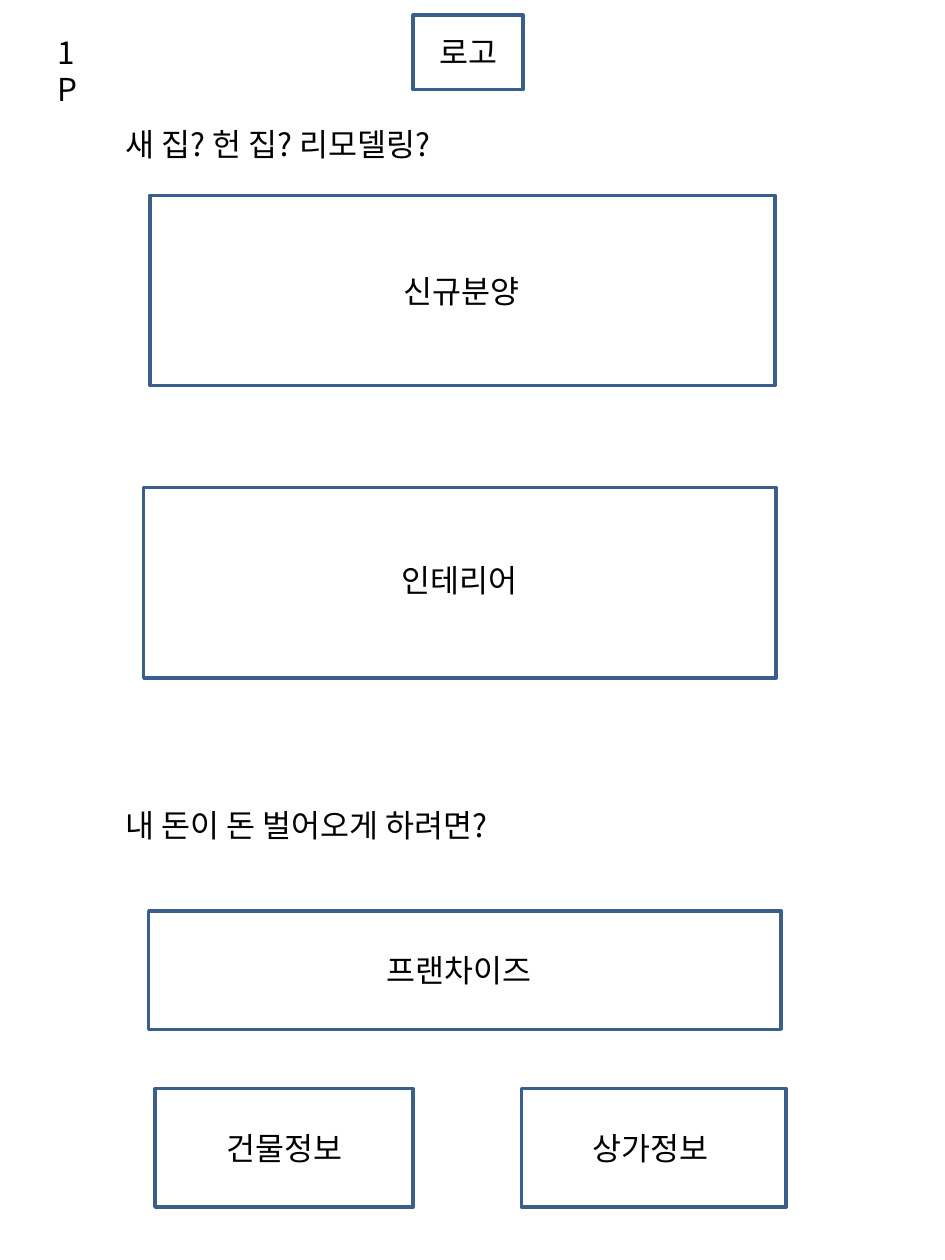
from typing import NamedTuple

from lxml import etree
from pptx import Presentation
from pptx import util as u
from pptx.dml.color import RGBColor
from pptx.enum import shapes, text
from pptx.oxml.ns import qn

FONT = "Noto Sans CJK KR"
BORDER = "3A5F8C"
INK = "000000"
LABEL_HEIGHT = 0.4


class Frame(NamedTuple):
    left: float
    top: float
    width: float
    height: float


class Label(NamedTuple):
    wording: str
    left: float
    top: float
    width: float


class Panel(NamedTuple):
    frame: Frame
    label: Label


def colour(value: str) -> RGBColor:
    return RGBColor.from_string(value)


def add_frame(container, frame: Frame) -> None:
    shape = container.add_shape(
        shapes.MSO_SHAPE.RECTANGLE, *(u.Inches(length) for length in frame)
    )
    shape.shadow.inherit = False
    shape.fill.background()
    shape.line.color.rgb = colour(BORDER)
    shape.line.width = u.Pt(2)


def add_label(container, label: Label, alignment=text.PP_ALIGN.CENTER) -> None:
    lengths = (label.left, label.top, label.width, LABEL_HEIGHT)
    shape = container.add_textbox(*(u.Inches(length) for length in lengths))
    shape.text_frame.word_wrap = True
    shape.text_frame.auto_size = text.MSO_AUTO_SIZE.SHAPE_TO_FIT_TEXT
    paragraph = shape.text_frame.paragraphs[0]
    paragraph.text = label.wording
    paragraph.alignment = alignment
    paragraph.font.size = u.Pt(18)
    paragraph.font.color.rgb = colour(INK)
    paragraph.font.name = FONT
    properties = paragraph._p.pPr.find(qn("a:defRPr"))
    etree.SubElement(properties, qn("a:ea"), typeface=FONT)


HEADINGS = [
    Label("내 돈이 돈 벌어오게 하려면?", 0.9, 6.35, 5.43),
    Label("새 집? 헌 집? 리모델링?", 0.9, 0.94, 5.43),
    Label("1P", 0.36, 0.21, 0.48),
]
LOGO = Panel(Frame(3.28, 0.12, 0.87, 0.59), Label("로고", 2.36, 0.21, 2.71))
PANELS = [
    Panel(Frame(1.14, 3.87, 5.02, 1.51), Label("인테리어", 0.3, 4.4, 6.69)),
    Panel(Frame(4.14, 8.64, 2.1, 0.94), Label("상가정보", 4.5, 8.91, 1.32)),
    Panel(Frame(1.23, 8.64, 2.05, 0.94), Label("건물정보", 1.17, 8.91, 2.17)),
    Panel(Frame(1.19, 1.55, 4.96, 1.51), Label("신규분양", 0.36, 2.11, 6.61)),
    Panel(Frame(1.18, 7.23, 5.02, 0.94), Label("프랜차이즈", 0.3, 7.5, 6.69)),
]

presentation = Presentation()
presentation.slide_width = u.Inches(7.5)
presentation.slide_height = u.Inches(10)
slide = presentation.slides.add_slide(presentation.slide_layouts[6])

for heading in HEADINGS:
    add_label(slide.shapes, heading, text.PP_ALIGN.LEFT)

add_label(slide.shapes, LOGO.label)
add_frame(slide.shapes, LOGO.frame)

for panel in PANELS:
    group = slide.shapes.add_group_shape()
    add_frame(group.shapes, panel.frame)
    add_label(group.shapes, panel.label)

presentation.save("out.pptx")
